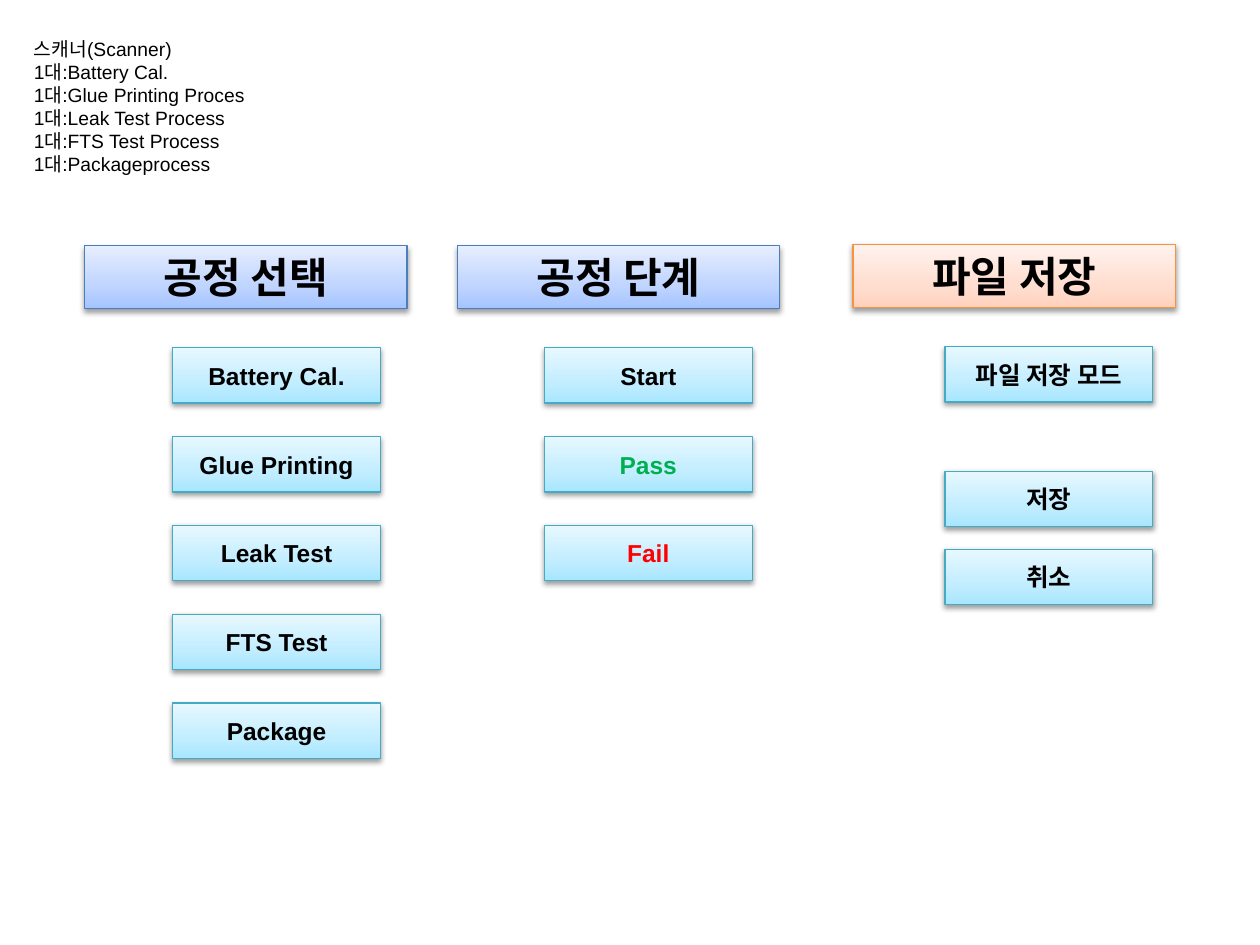
import copy

import pptx
import pptx.dml.color
import pptx.enum.shapes
import pptx.enum.text
import pptx.oxml
import pptx.oxml.ns
import pptx.util
from pptx.util import Inches

LATIN_FONT = "Arial"
KOREAN_FONT = "Noto Sans CJK KR"
BLACK, GREEN, RED = "000000", "00B050", "FF0000"

# Gradient stops run from the bottom of a box to its top.
BLUE = {"stops": ("A4C4FF", "BFD4FF", "E6EEFF"), "line": "4B7EBC"}
ORANGE = {"stops": ("FFD2BD", "FFDED0", "FFF2ED"), "line": "F69240"}
CYAN = {"stops": ("A7E6FF", "C1EDFF", "E7F8FF"), "line": "46AAC5"}
STOP_POSITIONS = (0, 0.35, 1)

SCANNERS = [
    "스캐너(Scanner)",
    "1대:Battery Cal.",
    "1대:Glue Printing Proces",
    "1대:Leak Test Process",
    "1대:FTS Test Process",
    "1대:Packageprocess",
]

HEADER_WIDTH, HEADER_HEIGHT = 2.56, 0.5
BUTTON_WIDTH, BUTTON_HEIGHT = 1.65, 0.44
FIRST_ROW, ROW_PITCH = 2.76, 0.705
ROWS = [FIRST_ROW + row * ROW_PITCH for row in range(5)]

COLUMNS = [
    {"title": "공정 선택", "style": BLUE, "at": (0.67, 1.95), "button_left": 1.37,
     "tops": ROWS,
     "buttons": [("Battery Cal.", BLACK), ("Glue Printing", BLACK),
                 ("Leak Test", BLACK), ("FTS Test", BLACK), ("Package", BLACK)]},
    {"title": "공정 단계", "style": BLUE, "at": (3.63, 1.95), "button_left": 4.32,
     "tops": ROWS,
     "buttons": [("Start", BLACK), ("Pass", GREEN), ("Fail", RED)]},
    {"title": "파일 저장", "style": ORANGE, "at": (6.77, 1.94), "button_left": 7.5,
     "tops": [2.75, 3.74, 4.36],
     "buttons": [("파일 저장 모드", BLACK), ("저장", BLACK), ("취소", BLACK)]},
]

SHADOW = (
    '<a:outerShdw %s blurRad="40000" dist="20000" dir="5400000" rotWithShape="0">'
    '<a:srgbClr val="000000"><a:alpha val="38000"/></a:srgbClr></a:outerShdw>'
    % pptx.oxml.ns.nsdecls("a")
)


def color(hex_string):
    return pptx.dml.color.RGBColor.from_string(hex_string)


def add_run(paragraph, text, size, hex_string=BLACK, bold=False, font=LATIN_FONT):
    run = paragraph.add_run()
    run.text = text
    run.font.size = pptx.util.Pt(size)
    run.font.bold = bold
    run.font.color.rgb = color(hex_string)
    run.font.name = font
    east_asian = pptx.oxml.parse_xml(
        '<a:ea %s typeface="%s"/>' % (pptx.oxml.ns.nsdecls("a"), KOREAN_FONT))
    run.font._element.find(pptx.oxml.ns.qn("a:latin")).addnext(east_asian)


def fill_gradient(shape, hex_strings):
    shape.fill.gradient()
    shape.fill.gradient_angle = 90
    stop_list = shape._element.spPr.find(".//" + pptx.oxml.ns.qn("a:gsLst"))
    stop_list.append(copy.deepcopy(stop_list[-1]))
    for stop, position, hex_string in zip(
            shape.fill.gradient_stops, STOP_POSITIONS, hex_strings):
        stop.position = position
        stop.color.rgb = color(hex_string)


def add_box(slide, left, top, width, height, style):
    """Add a shaded, shadowed rectangle and return its centred paragraph."""
    shape = slide.shapes.add_shape(
        pptx.enum.shapes.MSO_SHAPE.RECTANGLE,
        Inches(left), Inches(top), Inches(width), Inches(height))
    fill_gradient(shape, style["stops"])
    shape.line.color.rgb = color(style["line"])
    shape.line.width = pptx.util.Pt(0.75)
    shape.shadow.inherit = False
    effects = shape._element.spPr.find(pptx.oxml.ns.qn("a:effectLst"))
    effects.append(pptx.oxml.parse_xml(SHADOW))
    shape.text_frame.word_wrap = True
    shape.text_frame.vertical_anchor = pptx.enum.text.MSO_ANCHOR.MIDDLE
    paragraph = shape.text_frame.paragraphs[0]
    paragraph.alignment = pptx.enum.text.PP_ALIGN.CENTER
    return paragraph


def add_scanner_list(slide):
    box = slide.shapes.add_textbox(
        Inches(0.17), Inches(0.24), Inches(3.26), Inches(1.21))
    frame = box.text_frame
    frame.word_wrap = True
    frame.auto_size = pptx.enum.text.MSO_AUTO_SIZE.SHAPE_TO_FIT_TEXT
    frame.vertical_anchor = pptx.enum.text.MSO_ANCHOR.MIDDLE
    for index, line in enumerate(SCANNERS):
        paragraph = frame.add_paragraph() if index else frame.paragraphs[0]
        add_run(paragraph, line, 11)


def add_column(slide, column):
    header = add_box(slide, *column["at"], HEADER_WIDTH, HEADER_HEIGHT, column["style"])
    add_run(header, column["title"], 24, bold=True, font=KOREAN_FONT)
    for (label, hex_string), top in zip(column["buttons"], column["tops"]):
        button = add_box(slide, column["button_left"], top,
                         BUTTON_WIDTH, BUTTON_HEIGHT, CYAN)
        add_run(button, label, 14, hex_string, bold=True)


def main():
    presentation = pptx.Presentation()
    presentation.slide_width = Inches(10)
    presentation.slide_height = Inches(7.5)
    slide = presentation.slides.add_slide(presentation.slide_layouts[6])
    add_scanner_list(slide)
    for column in COLUMNS:
        add_column(slide, column)
    presentation.save("out.pptx")


if __name__ == "__main__":
    main()
